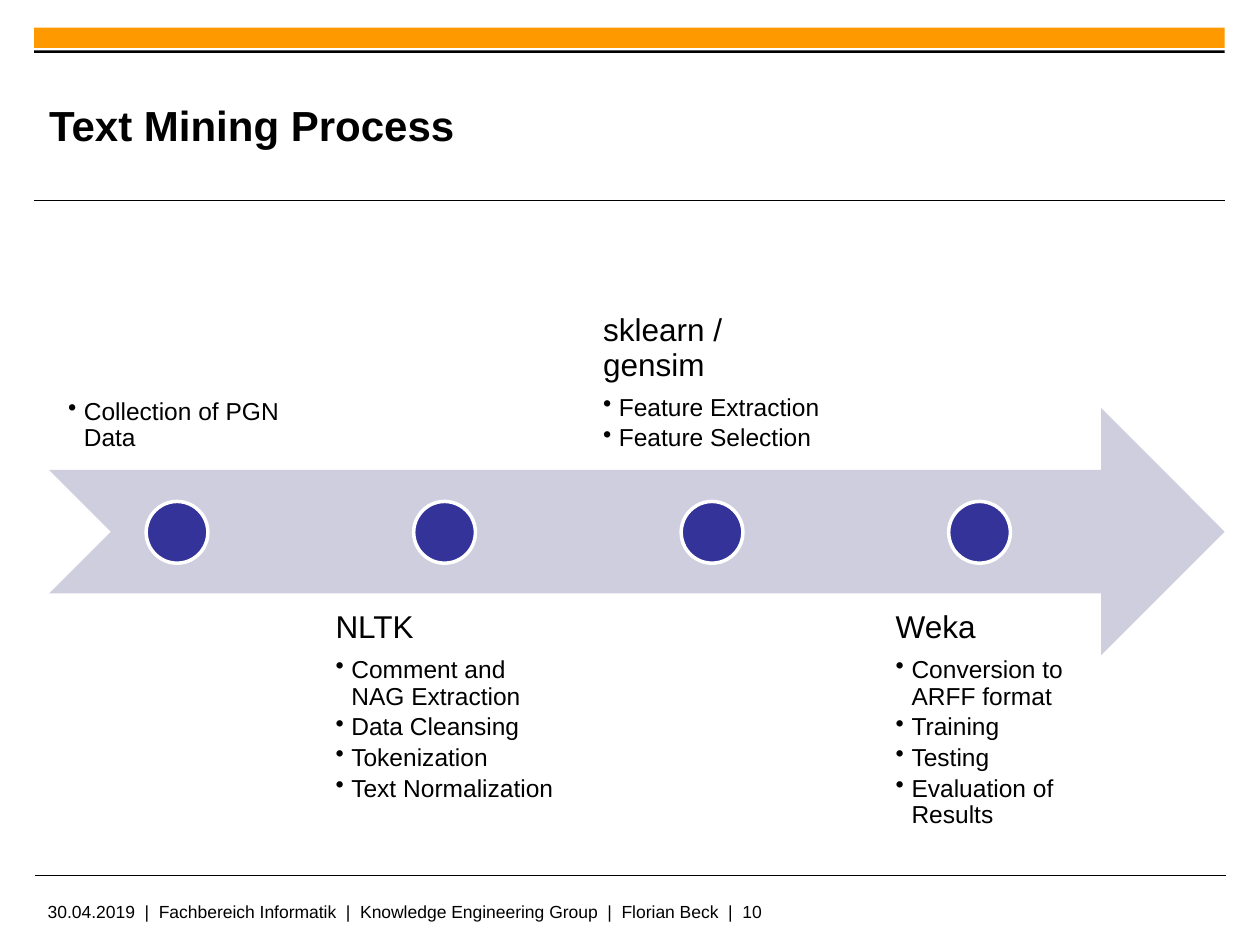
from pptx import Presentation
from pptx.dml.color import RGBColor as Rgb
from pptx.enum.shapes import MSO_CONNECTOR as Conn, MSO_SHAPE as Shape
from pptx.enum.text import MSO_ANCHOR as Anchor
from pptx.oxml.ns import qn
from pptx.util import Inches, Pt
from lxml.etree import SubElement as Sub

COLORS = {"bar": "FF9900", "ink": "000000", "arrow": "CECEDE",
          "dot": "333399", "edge": "FFFFFF"}

deck = Presentation()
deck.slide_width, deck.slide_height = Inches(10), Inches(7.5)
slide = deck.slides.add_slide(deck.slide_layouts[6])
shapes = slide.shapes


def add_form(kind, box, fill):
    form = shapes.add_shape(kind, *map(Inches, box))
    form.shadow.inherit = False
    form.fill.solid()
    form.fill.fore_color.rgb = Rgb.from_string(COLORS[fill])
    form.line.fill.background()
    return form


def add_run(para, text, size, bold=False):
    run = para.add_run()
    run.text = text
    run.font.name = "Arial"
    run.font.size = Pt(size)
    run.font.bold = bold
    run.font.color.rgb = Rgb.from_string(COLORS["ink"])


# Header bars
add_form(Shape.RECTANGLE, (0.27, 0.22, 9.45, 0.16), "bar")
add_form(Shape.RECTANGLE, (0.27, 0.4, 9.45, 0.02), "ink")

# Rules below the title and above the footer
for left, top in ((0.27, 1.59), (0.28, 6.95)):
    rule = shapes.add_connector(Conn.STRAIGHT, Inches(left), Inches(top),
                                Inches(left + 9.45), Inches(top))
    rule.line.color.rgb = Rgb.from_string(COLORS["ink"])
    rule.line.width = Pt(0.6)
    Sub(rule._element.spPr, qn("a:effectLst"))

# Title
title = shapes.add_textbox(Inches(0.39), Inches(0.53), Inches(7.26), Inches(0.92))
frame = title.text_frame
frame.word_wrap = True
frame.vertical_anchor = Anchor.MIDDLE
frame.margin_left = frame.margin_right = frame.margin_top = frame.margin_bottom = 0
add_run(frame.paragraphs[0], "Text Mining Process", 24, True)

# Footer: no-break spaces keep the wide gaps around the bars
foot = shapes.add_textbox(Inches(0.28), Inches(7.1), Inches(7.88), Inches(0.25))
foot.text_frame.word_wrap = True
parts = ("30.04.2019", "Fachbereich Informatik", "Knowledge Engineering Group",
         "Florian Beck", "10")
add_run(foot.text_frame.paragraphs[0], "  |  ".join(parts), 10)

# Process arrow
add_form(Shape.NOTCHED_RIGHT_ARROW, (0.39, 3.24, 9.33, 1.96), "arrow")

# Steps, in turn above and below the arrow: heading, points, extra left inset
steps = [
    ("", ["Collection of PGN Data"], 0),
    ("NLTK", ["Comment and NAG Extraction", "Data Cleansing",
              "Tokenization", "Text Normalization"], 0),
    ("sklearn / gensim", ["Feature Extraction", "Feature Selection"], 0),
    ("Weka", ["Conversion to ARFF format", "Training", "Testing",
              "Evaluation of Results"], 0.2),
]
for i, (head, points, inset) in enumerate(steps):
    left = 0.4 + 2.123 * i
    above = i % 2 == 0
    box = shapes.add_textbox(Inches(left), Inches(1.77 if above else 4.71),
                             Inches(2.02), Inches(1.96))
    frame = box.text_frame
    frame.word_wrap = True
    frame.vertical_anchor = Anchor.BOTTOM if above else Anchor.TOP
    frame.margin_right = frame.margin_top = frame.margin_bottom = Inches(0.14)
    frame.margin_left = Inches(0.14 + inset)

    lines = [(head, 18, 7)] if head else []
    lines += [(point, 14, 2.4) for point in points]
    for n, (text, size, gap) in enumerate(lines):
        para = frame.add_paragraph() if n else frame.paragraphs[0]
        para.line_spacing = 0.9
        para.space_after = Pt(gap)
        add_run(para, text, size)
        if text != head:
            para.level = 1
            props = para._p.get_or_add_pPr()
            props.set("marL", str(Inches(0.125)))
            props.set("indent", str(-Inches(0.125)))
            Sub(props, qn("a:buChar")).set("char", "•")

    dot = add_form(Shape.OVAL, (left + 0.76, 3.98, 0.49, 0.49), "dot")
    dot.line.color.rgb = Rgb.from_string(COLORS["edge"])
    dot.line.width = Pt(2)

deck.save("out.pptx")
